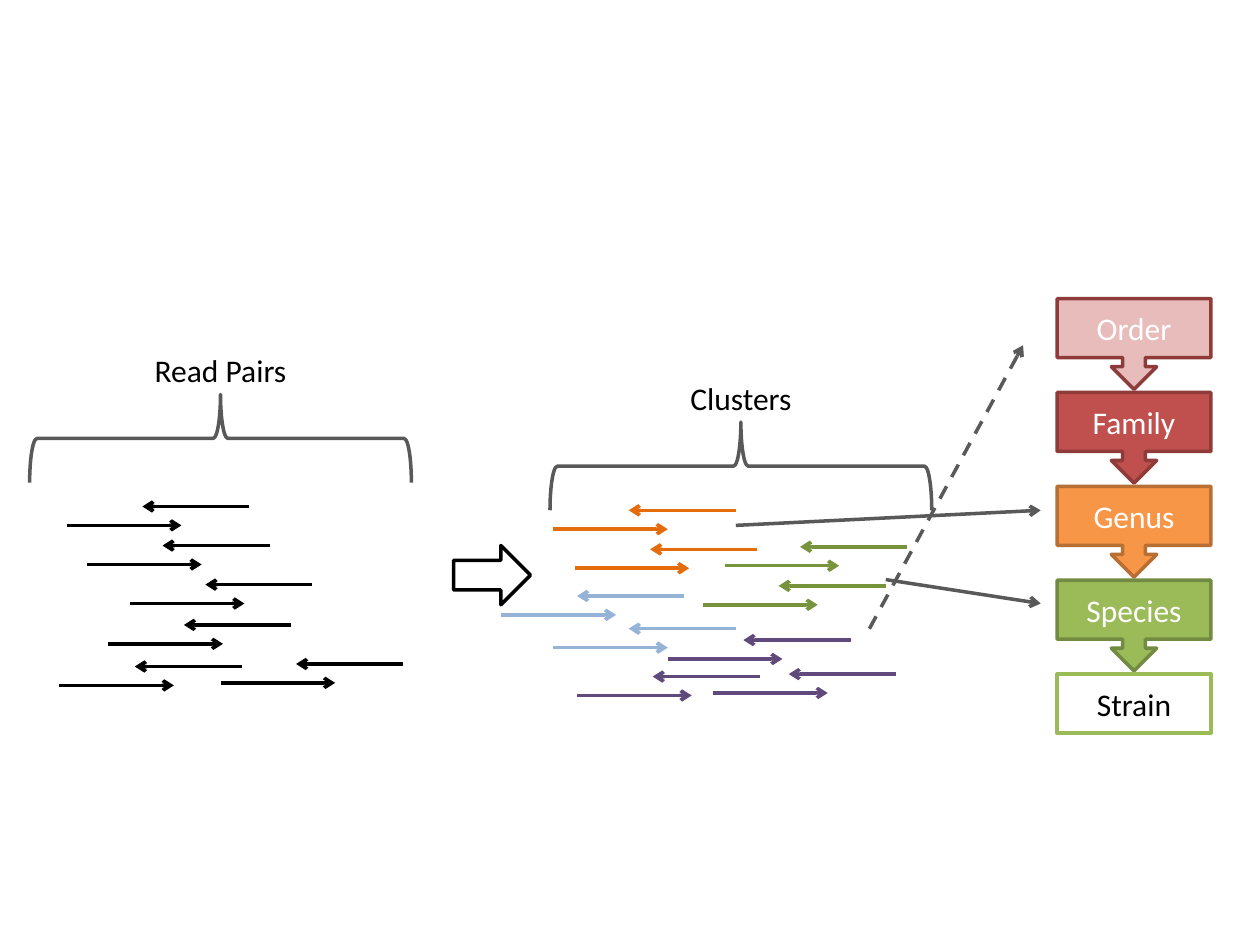
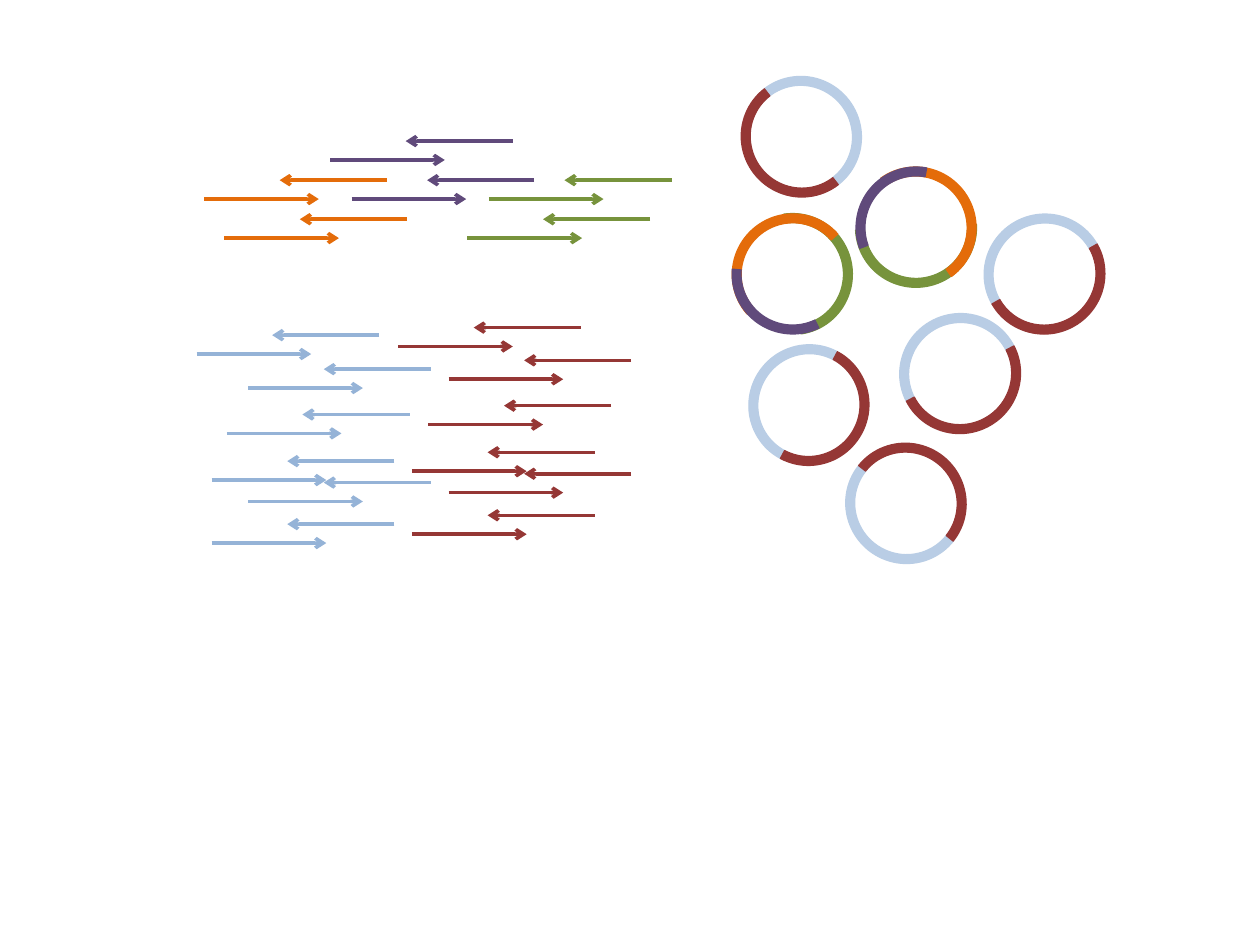
from lxml import etree
from pptx import Presentation, util as u
from pptx.dml.color import RGBColor
from pptx.enum import dml, shapes, text
from pptx.oxml import ns

# Shared look
COLORS = {
    "black": "000000", "white": "FFFFFF", "gray": "595959",
    "orange": "E46C0A", "green": "77933C", "purple": "604A7B",
    "blue": "95B3D7", "pale blue": "B9CDE5", "dark red": "953735",
    "red": "C0504D", "red edge": "8E3B39",
    "amber": "F79646", "amber edge": "B76F34",
    "leaf": "9BBB59", "leaf edge": "738A42",
}
FONT, FONT_SIZE, LINE_WIDTH = "Calibri", 18, 2
WIDTH, HEIGHT = 10, 7.5

# A read pair: a forward read, and a reverse read up and to its right
READ_LENGTH, MATE_START, MATE_END, MATE_RISE = 0.91, 1.45, 0.6, 0.15

# Slide 1: start of each forward read, by colour
CLUSTER_READS = {
    "black": [(0.53, 4.17), (0.69, 4.48), (0.86, 5.11), (1.03, 4.79),
              (1.75, 5.42), (0.47, 5.44)],
    "orange": [(4.39, 4.2), (4.56, 4.51)],
    "green": [(5.58, 4.8), (5.75, 4.49)],
    "purple": [(5.3, 5.23), (5.66, 5.5), (4.58, 5.52)],
    "blue": [(4.39, 5.14), (3.98, 4.88)],
}
# label, centre, top of label
BRACES = [("Read Pairs", 1.75, 2.74), ("Clusters", 5.88, 2.96)]
BRACE_DEPTH, BRACE_SPAN, LABEL_WIDTH, LABEL_HEIGHT = 0.7, 3.03, 1.79, 0.4
# start, end, dashed
ASSIGNMENTS = [
    ((6.9, 4.99), (8.12, 2.74), True),
    ((5.84, 4.17), (8.26, 4.05), False),
    ((7.03, 4.6), (8.26, 4.79), False),
]
# label, fill, opacity in percent, edge, text colour
RANKS = [
    ("Order", "red", 38, "red edge", "white"),
    ("Family", "red", 100, "red edge", "white"),
    ("Genus", "amber", 100, "amber edge", "white"),
    ("Species", "leaf", 100, "leaf edge", "white"),
    ("Strain", "white", 52, "leaf", "black"),
]
RANK_LEFT, RANK_TOP, RANK_STEP, RANK_WIDTH = 8.39, 2.37, 0.745, 1.22
RANK_HEIGHT, LAST_RANK_HEIGHT = 0.72, 0.47

# Slide 2: forward reads again, then rings
GENOME_READS = {
    "orange": [(1.62, 1.58), (1.78, 1.89)],
    "green": [(3.71, 1.89), (3.88, 1.58)],
    "blue": [(1.68, 4.31), (1.8, 3.44), (1.97, 3.98), (1.68, 3.81),
             (1.97, 3.08), (1.56, 2.81)],
    "purple": [(2.62, 1.27), (2.79, 1.58)],
    "dark red": [(3.27, 4.24), (3.4, 3.37), (3.56, 3.91), (3.27, 3.74),
                 (3.56, 3.01), (3.16, 2.75)],
}
# left, top, rotation of the pale half (the dark half is opposite)
TWO_PART_RINGS = [(5.88, 0.61, 52.4), (5.94, 2.74, 298.1), (7.81, 1.7, 330.3),
                  (6.71, 3.52, 218.6), (7.14, 2.49, 332.8)]
# left, top, rotations of green, orange and purple
THREE_PART_RINGS = [(6.79, 1.33, (177.3, 54.2, 280.2)),
                    (5.81, 1.7, (81.7, 318.6, 184.6))]
# colour and start angle of each arc
THREE_PARTS = [("green", 180), ("orange", 180), ("purple", 239.48)]
RING_WIDTH, RING_HEIGHT, RING_THICKNESS = 0.96, 0.95, 0.074


def rgb(name):
    return RGBColor.from_string(COLORS[name])


def add_arrow(page, start, end, color, dashed=False):
    ends = [u.Inches(value) for value in (*start, *end)]
    arrow = page.shapes.add_connector(shapes.MSO_CONNECTOR.STRAIGHT, *ends)
    arrow.line.color.rgb = rgb(color)
    arrow.line.width = u.Pt(LINE_WIDTH)
    if dashed:
        arrow.line.dash_style = dml.MSO_LINE.DASH
    etree.SubElement(arrow.line._get_or_add_ln(), ns.qn("a:tailEnd"), type="arrow")
    etree.SubElement(arrow._element.spPr, ns.qn("a:effectLst"))


def add_read_pairs(page, reads):
    for color, starts in reads.items():
        for x, y in starts:
            add_arrow(page, (x, y), (x + READ_LENGTH, y), color)
            mate_y = y - MATE_RISE
            add_arrow(page, (x + MATE_START, mate_y), (x + MATE_END, mate_y), color)


def add_figure(page, kind, place, fill, edge, width=LINE_WIDTH, opacity=100):
    figure = page.shapes.add_shape(kind, *[u.Inches(value) for value in place])
    figure.shadow.inherit = False
    if fill:
        figure.fill.solid()
        figure.fill.fore_color.rgb = rgb(fill)
        if opacity < 100:
            color = figure._element.spPr.find(".//" + ns.qn("a:srgbClr"))
            etree.SubElement(color, ns.qn("a:alpha"), val=str(opacity * 1000))
    else:
        figure.fill.background()
    figure.line.color.rgb = rgb(edge)
    figure.line.width = u.Pt(width)
    return figure


def write(box, words, color):
    para = box.text_frame.paragraphs[0]
    para.text = words
    para.alignment = text.PP_ALIGN.CENTER
    para.font.name, para.font.size = FONT, u.Pt(FONT_SIZE)
    para.font.color.rgb = rgb(color)


def add_brace(page, label, center, top):
    # The tip touches the label; the shape is turned about its centre
    middle = top + LABEL_HEIGHT + BRACE_DEPTH / 2 - 0.01
    place = (center - BRACE_DEPTH / 2, middle - BRACE_SPAN / 2,
             BRACE_DEPTH, BRACE_SPAN)
    add_figure(page, shapes.MSO_SHAPE.LEFT_BRACE, place, None, "gray").rotation = 90
    place = (center - LABEL_WIDTH / 2, top, LABEL_WIDTH, LABEL_HEIGHT)
    box = page.shapes.add_textbox(*[u.Inches(value) for value in place])
    box.text_frame.word_wrap = True
    box.text_frame.auto_size = text.MSO_AUTO_SIZE.SHAPE_TO_FIT_TEXT
    write(box, label, "black")


def add_arc(page, left, top, rotation, color, start=180):
    place = (left, top, RING_WIDTH, RING_HEIGHT)
    arc = add_figure(page, shapes.MSO_SHAPE.BLOCK_ARC, place, color, color, 0.75)
    arc.rotation = rotation % 360
    # Angles are stored in 60000ths of a degree, adjustments in 100000ths
    for index, value in enumerate((start * 0.6, 0, RING_THICKNESS)):
        arc.adjustments[index] = value


deck = Presentation()
deck.slide_width, deck.slide_height = u.Inches(WIDTH), u.Inches(HEIGHT)
blank = deck.slide_layouts[6]

# Slide 1: reads, clusters and taxonomic ranks
page = deck.slides.add_slide(blank)
add_arrow(page, *ASSIGNMENTS[0][:2], "gray", ASSIGNMENTS[0][2])
for row, (label, fill, opacity, edge, ink) in enumerate(RANKS):
    last = row == len(RANKS) - 1
    kind = shapes.MSO_SHAPE.RECTANGLE if last else shapes.MSO_SHAPE.DOWN_ARROW_CALLOUT
    place = (RANK_LEFT, RANK_TOP + row * RANK_STEP, RANK_WIDTH,
             LAST_RANK_HEIGHT if last else RANK_HEIGHT)
    rank = add_figure(page, kind, place, fill, edge, opacity=opacity)
    rank.text_frame.vertical_anchor = text.MSO_ANCHOR.MIDDLE
    write(rank, label, ink)
add_read_pairs(page, CLUSTER_READS)
for brace in BRACES:
    add_brace(page, *brace)
add_figure(page, shapes.MSO_SHAPE.RIGHT_ARROW, (3.6, 4.33, 0.61, 0.47), "white", "black")
for start, end, dashed in ASSIGNMENTS[1:]:
    add_arrow(page, start, end, "gray", dashed)

# Slide 2: reads and circular genomes
page = deck.slides.add_slide(blank)
add_read_pairs(page, GENOME_READS)
for left, top, rotation in TWO_PART_RINGS:
    add_arc(page, left, top, rotation, "pale blue")
    add_arc(page, left, top, rotation + 180, "dark red")
for left, top, rotations in THREE_PART_RINGS:
    for rotation, (color, start) in zip(rotations, THREE_PARTS):
        add_arc(page, left, top, rotation, color, start)

deck.save("out.pptx")
